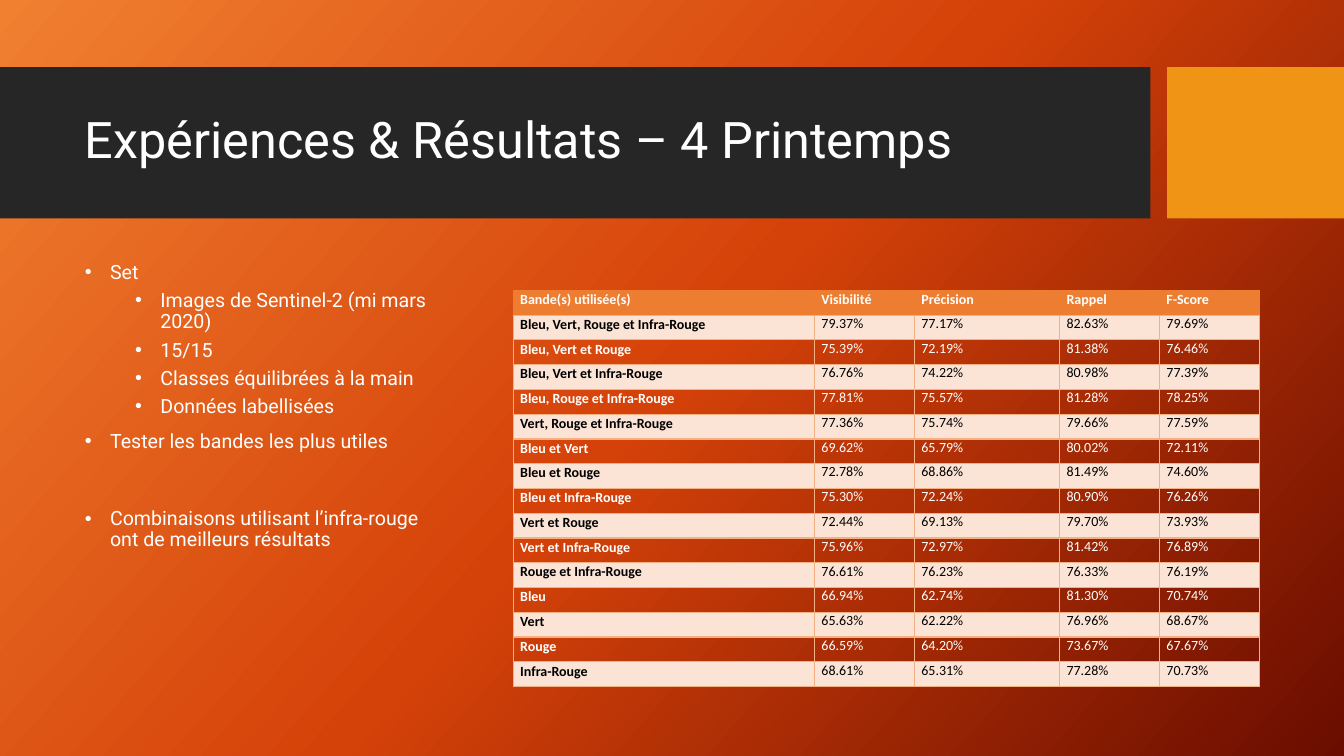
import copy
import pptx
import pptx.dml.color
import pptx.enum.shapes
import pptx.enum.text
import pptx.oxml
import pptx.oxml.ns
import pptx.util
from lxml import etree

Pt = pptx.util.Pt
RGB = pptx.dml.color.RGBColor
qn = pptx.oxml.ns.qn

WHITE = RGB(0xFF, 0xFF, 0xFF)
BLACK = RGB(0, 0, 0)
DARK = RGB(0x26, 0x26, 0x26)
GOLD = RGB(0xF0, 0x94, 0x15)
ORANGE = RGB(0xED, 0x7D, 0x31)
PEACH = RGB(0xFB, 0xE4, 0xD5)
EDGE = RGB(0xF4, 0xB0, 0x83)
SHADES = [(0, RGB(0xF1, 0x80, 0x31)), (0.5, RGB(0xD5, 0x42, 0x09)),
          (1, RGB(0x6A, 0x0D, 0x00))]


def add_run(para, text, font, size, color, bold=False):
    run = para.add_run()
    run.text = text
    run.font.name = font
    run.font.size = Pt(size)
    run.font.color.rgb = color
    run.font.bold = bold


def add_edges(cell, color):
    props = cell._tc.get_or_add_tcPr()
    for side in ("a:lnL", "a:lnR", "a:lnT", "a:lnB"):
        line = etree.SubElement(props, qn(side), w=str(Pt(1)))
        fill = etree.SubElement(line, qn("a:solidFill"))
        etree.SubElement(fill, qn("a:srgbClr"), val=str(color))


deck = pptx.Presentation()
deck.slide_width, deck.slide_height = Pt(960), Pt(540)
slide = deck.slides.add_slide(deck.slide_layouts[6])

# Background gradient
back = slide.background.fill
back.gradient()
back.gradient_angle = 318
stops = slide.element.find(".//" + qn("a:gsLst"))
stops.append(copy.deepcopy(stops[0]))
for stop, (place, color) in zip(back.gradient_stops, SHADES):
    stop.position = place
    stop.color.rgb = color

# Title band and accent block
for left, width, color in [(0, 821.7, DARK), (833.7, 126.3, GOLD)]:
    band = slide.shapes.add_shape(
        pptx.enum.shapes.MSO_SHAPE.RECTANGLE,
        Pt(left), Pt(48), Pt(width), Pt(108))
    band.shadow.inherit = False
    band.fill.solid()
    band.fill.fore_color.rgb = color
    band.line.fill.background()

# Title
frame = slide.shapes.add_textbox(Pt(53.5), Pt(59.3), Pt(757), Pt(85)).text_frame
frame.word_wrap = True
frame.vertical_anchor = pptx.enum.text.MSO_ANCHOR.MIDDLE
frame.paragraphs[0].line_spacing = 0.9
add_run(frame.paragraphs[0], "Expériences & Résultats – 4 Printemps",
        "Roboto", 36, WHITE)

# Bullets: level, space before, text
POINTS = [
    (0, 0, "Set"),
    (1, 5, "Images de Sentinel-2 (mi mars 2020)"),
    (1, 5, "15/15"),
    (1, 5, "Classes équilibrées à la main"),
    (1, 5, "Données labellisées"),
    (0, 10, "Tester les bandes les plus utiles"),
    (0, 40, "Combinaisons utilisant l’infra-rouge ont de meilleurs résultats"),
]
frame = slide.shapes.add_textbox(Pt(53.5), Pt(184), Pt(275), Pt(284)).text_frame
frame.word_wrap = True
for i, (level, gap, text) in enumerate(POINTS):
    para = frame.add_paragraph() if i else frame.paragraphs[0]
    para.level = level
    para.line_spacing = 0.9
    para.space_before = Pt(gap)
    props = para._p.get_or_add_pPr()
    props.set("marL", str(Pt(18 + 36 * level)))
    props.set("indent", str(Pt(-18)))
    etree.SubElement(props, qn("a:buFont"), typeface="Arial")
    etree.SubElement(props, qn("a:buChar"), char="•")
    add_run(para, text, "Roboto", 14, WHITE)

# Results table
HEADS = ["Bande(s) utilisée(s)", "Visibilité", "Précision", "Rappel", "F-Score"]
SCORES = [
    ("Bleu, Vert, Rouge et Infra-Rouge", 79.37, 77.17, 82.63, 79.69),
    ("Bleu, Vert et Rouge", 75.39, 72.19, 81.38, 76.46),
    ("Bleu, Vert et Infra-Rouge", 76.76, 74.22, 80.98, 77.39),
    ("Bleu, Rouge et Infra-Rouge", 77.81, 75.57, 81.28, 78.25),
    ("Vert, Rouge et Infra-Rouge", 77.36, 75.74, 79.66, 77.59),
    ("Bleu et Vert", 69.62, 65.79, 80.02, 72.11),
    ("Bleu et Rouge", 72.78, 68.86, 81.49, 74.60),
    ("Bleu et Infra-Rouge", 75.30, 72.24, 80.90, 76.26),
    ("Vert et Rouge", 72.44, 69.13, 79.70, 73.93),
    ("Vert et Infra-Rouge", 75.96, 72.97, 81.42, 76.89),
    ("Rouge et Infra-Rouge", 76.61, 76.23, 76.33, 76.19),
    ("Bleu", 66.94, 62.74, 81.30, 70.74),
    ("Vert", 65.63, 62.22, 76.96, 68.67),
    ("Rouge", 66.59, 64.20, 73.67, 67.67),
    ("Infra-Rouge", 68.61, 65.31, 77.28, 70.73),
]
WIDTHS = [215.2, 71.4, 103.7, 71.4, 71.4]
rows = [HEADS] + [[name] + [f"{n:.2f}%" for n in nums] for name, *nums in SCORES]
table = slide.shapes.add_table(
    len(rows), len(HEADS), Pt(366.6), Pt(207.4),
    Pt(sum(WIDTHS)), Pt(17.7 * len(rows))).table
table.first_row = table.horz_banding = False
for col, width in zip(table.columns, WIDTHS):
    col.width = Pt(width)
for r, row in enumerate(rows):
    table.rows[r].height = Pt(17.7)
    for c, text in enumerate(row):
        cell = table.cell(r, c)
        cell.margin_left = cell.margin_right = Pt(5)
        cell.margin_top = Pt(0.7 if r == 0 or c == 0 else 0)
        cell.margin_bottom = 0
        add_edges(cell, EDGE if r else ORANGE)
        if r and r % 2 == 0:
            cell.fill.background()
        else:
            cell.fill.solid()
            cell.fill.fore_color.rgb = PEACH if r else ORANGE
        para = cell.text_frame.paragraphs[0]
        para.alignment = pptx.enum.text.PP_ALIGN.JUSTIFY
        para.space_after = Pt(6)
        add_run(para, text, "Calibri", 10, BLACK if r % 2 else WHITE,
                r == 0 or c == 0)

deck.save("out.pptx")
